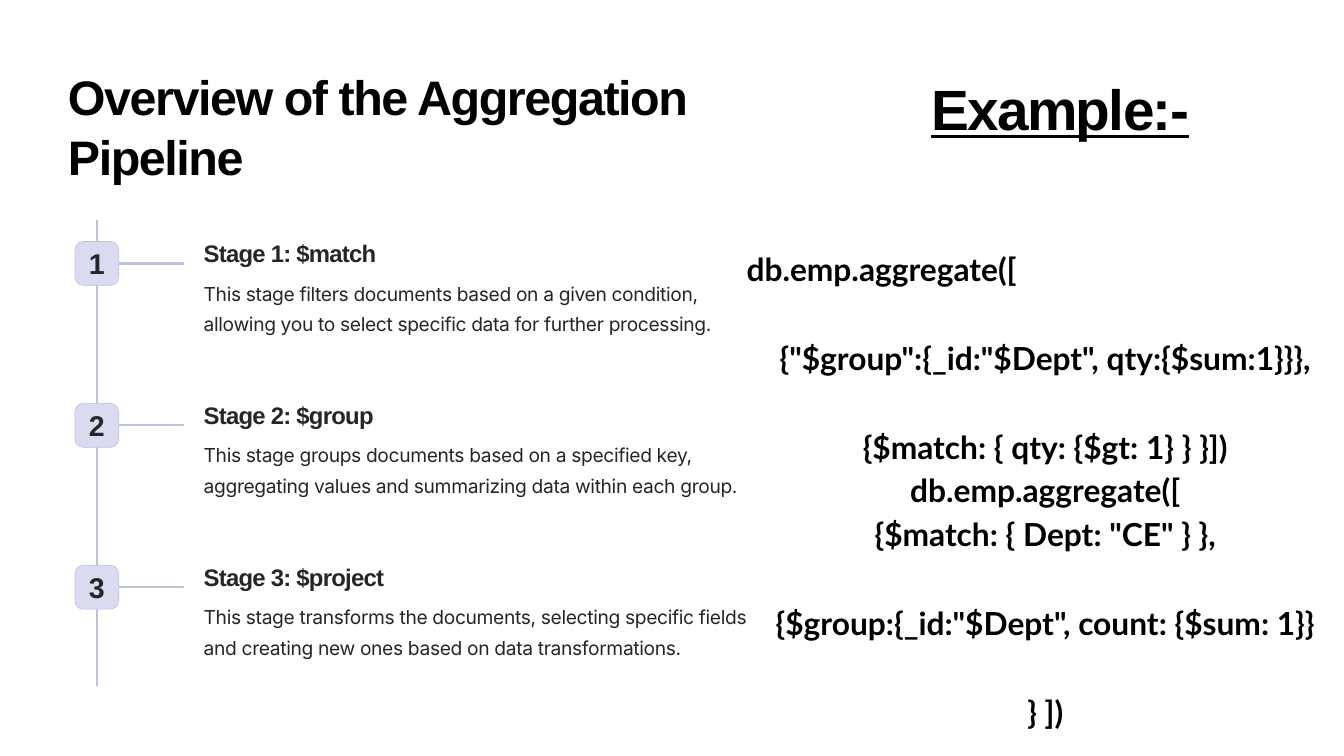
from lxml.etree import SubElement
from pptx import Presentation
from pptx.dml.color import RGBColor
from pptx.enum.shapes import MSO_CONNECTOR, MSO_SHAPE
from pptx.enum.text import MSO_ANCHOR, PP_ALIGN
from pptx.oxml.ns import qn
from pptx.util import Cm, Pt

# Content
TITLE = "Overview of the Aggregation Pipeline"
LABEL = "Example:-"
STAGES = [
    ("Stage 1: $match", "This stage filters documents based on a given condition, "
     "allowing you to select specific data for further processing."),
    ("Stage 2: $group", "This stage groups documents based on a specified key, "
     "aggregating values and summarizing data within each group."),
    ("Stage 3: $project", "This stage transforms the documents, selecting specific "
     "fields and creating new ones based on data transformations."),
]
LEFT, MID = PP_ALIGN.LEFT, PP_ALIGN.CENTER
# Each code line: text, alignment, whether a line-high gap precedes it
CODE = [
    (9.22, 8.4, [
        ("db.emp.aggregate([", LEFT, False),
        ('{"$group":{_id:"$Dept", qty:{$sum:1}}},', MID, True),
        ("{$match: { qty: {$gt: 1} } }])", MID, True),
    ]),
    (17.55, 10.08, [
        ("db.emp.aggregate([", MID, False),
        ('{$match: { Dept: "CE" } },', MID, False),
        ('{$group:{_id:"$Dept", count: {$sum: 1}}', MID, True),
        ("} ])", MID, True),
    ]),
]

# Styles: font, size, line height, letter spacing, bold, colour
COLORS = {"page": "FFFFFF", "black": "000000", "ink": "272525",
          "line": "C0C1D7", "badge": "DADBF1"}
STYLES = {
    "title": ("Arial", 51.9, 64.4, -1.6, True, "black"),
    "label": ("Arial", 60.8, 75.4, -1.8, True, "black"),
    "num": ("Arial", 30.6, 30.6, -0.9, True, "ink"),
    "head": ("Arial", 25.6, 31.9, -0.8, True, "ink"),
    "body": ("Inter", 20.6, 33.1, -0.4, False, "ink"),
    "code": ("Lato", 34, 47.6, 0, True, "black"),
}

# Layout in cm
RAIL, TOP, END = 3.66, 8.31, 25.93
FIRST, STEP, SIDE = 9.96, 6.12, 1.66
TEXT = 7.7

deck = Presentation()
deck.slide_width, deck.slide_height = Cm(50.8), Cm(28.58)
slide = deck.slides.add_slide(deck.slide_layouts[6])


def color(name):
    return RGBColor.from_string(COLORS[name])


def style(para, name, align=LEFT):
    face, size, height, gap, bold, ink = STYLES[name]
    para.alignment = align
    para.line_spacing = Pt(height)
    font = para.font
    font.name, font.size, font.bold = face, Pt(size), bold
    font.color.rgb = color(ink)
    if gap:
        font._element.set("spc", str(round(gap * 100)))


def clear(frame):
    frame.word_wrap = True
    frame.margin_left = frame.margin_right = 0
    frame.margin_top = frame.margin_bottom = 0


def write(x, y, w, h, name, lines):
    frame = slide.shapes.add_textbox(Cm(x), Cm(y), Cm(w), Cm(h)).text_frame
    clear(frame)
    for i, (text, align, gap) in enumerate(lines):
        para = frame.add_paragraph() if i else frame.paragraphs[0]
        para.text = text
        style(para, name, align)
        if gap:
            para.space_before = Pt(STYLES[name][2])
    return frame.paragraphs[0]


def rule(x1, y1, x2, y2):
    line = slide.shapes.add_connector(
        MSO_CONNECTOR.STRAIGHT, Cm(x1), Cm(y1), Cm(x2), Cm(y2))
    line.line.color.rgb = color("line")
    line.line.width = Pt(2.3)
    SubElement(line._element.spPr, qn("a:effectLst"))
    return line


def badge(num, mid):
    box = slide.shapes.add_shape(
        MSO_SHAPE.ROUNDED_RECTANGLE, Cm(RAIL - SIDE / 2), Cm(mid - SIDE / 2),
        Cm(SIDE), Cm(SIDE))
    box.adjustments[0] = 0.19
    box.shadow.inherit = False
    box.fill.solid()
    box.fill.fore_color.rgb = color("badge")
    box.line.color.rgb = color("line")
    box.line.width = Pt(0.6)
    frame = box.text_frame
    clear(frame)
    frame.margin_top = Cm(0.2)
    frame.vertical_anchor = MSO_ANCHOR.MIDDLE
    frame.text = str(num)
    style(frame.paragraphs[0], "num", MID)
    return box


# Background and title
slide.background.fill.solid()
slide.background.fill.fore_color.rgb = color("page")
write(2.57, 2.46, 26.62, 4.57, "title", [(TITLE, LEFT, False)])

# Timeline of stages
rule(RAIL, TOP, RAIL, END)
for i, (head, body) in enumerate(STAGES):
    mid = FIRST + i * STEP
    box = badge(i + 1, mid)
    rule(RAIL + SIDE / 2, mid, 6.96, mid).begin_connect(box, 3)
    write(TEXT, mid - 0.97, 9.14, 1.19, "head", [(head, LEFT, False)])
    write(TEXT, mid + 0.4, 21.49, 2.62, "body", [(body, LEFT, False)])

# Example code
write(35.2, 2.69, 15.6, 2.72, "label", [(LABEL, LEFT, False)]).font.underline = True
for top, tall, lines in CODE:
    write(28.22, top, 22.58, tall, "code", lines)

deck.save("out.pptx")
